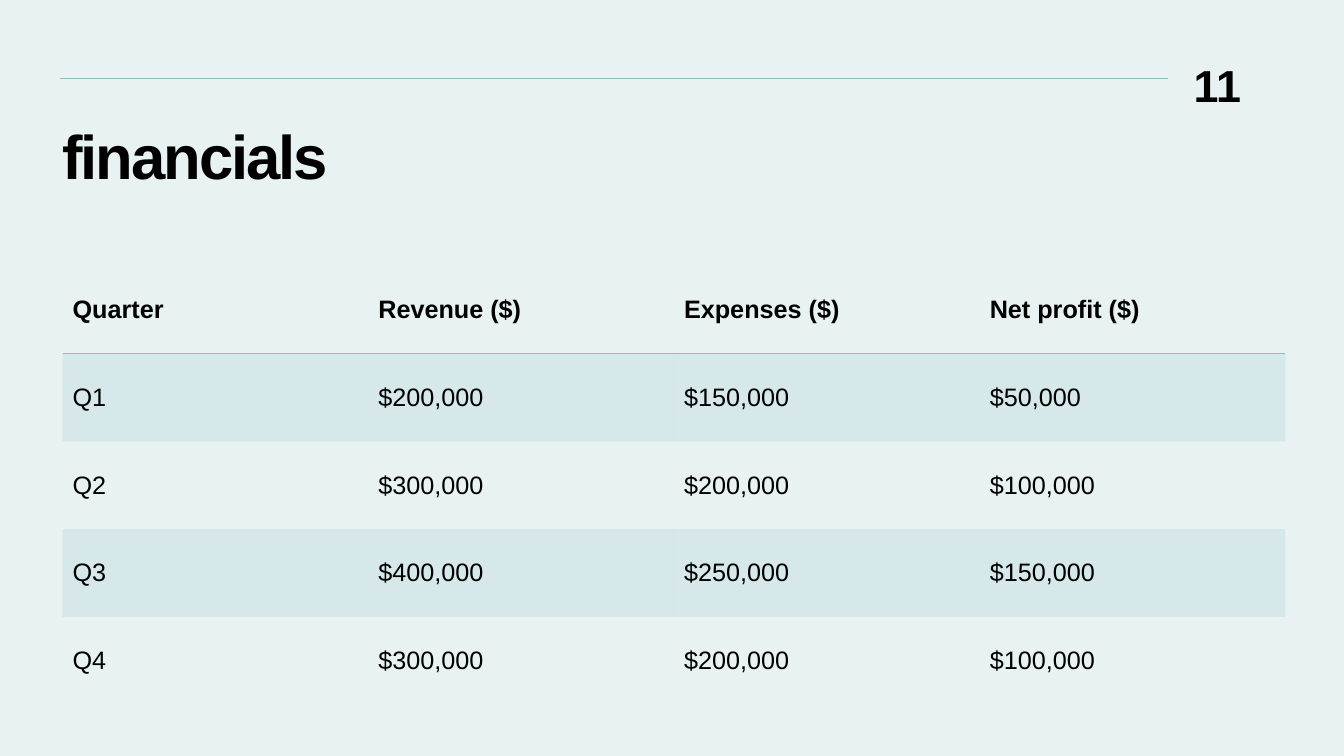
from dataclasses import dataclass

from lxml import etree
from pptx import Presentation
from pptx.dml.color import RGBColor
from pptx.enum.shapes import MSO_CONNECTOR
from pptx.enum.text import MSO_ANCHOR, PP_ALIGN
from pptx.oxml import parse_xml
from pptx.oxml.ns import qn
from pptx.slide import Slide
from pptx.util import Inches, Pt

STRAIGHT = MSO_CONNECTOR.STRAIGHT
TOP, MIDDLE = MSO_ANCHOR.TOP, MSO_ANCHOR.MIDDLE
LEFT, RIGHT = PP_ALIGN.LEFT, PP_ALIGN.RIGHT
DRAWING_NS = "http://schemas.openxmlformats.org/drawingml/2006/main"
PLAIN_TABLE_STYLE = "{2D5ABB26-0587-4C30-8999-92F81FD0307C}"


@dataclass(frozen=True)
class Theme:
    background: str = "E8F2F3"
    accent: str = "8EC0C1"
    ink: str = "000000"
    font: str = "Arial"
    title_size: float = 44
    number_size: float = 32
    table_size: float = 18
    rule_width: float = 0.75
    header_width: float = 1
    band_opacity: int = 20


@dataclass(frozen=True)
class Label:
    text: str
    left: float
    top: float
    width: float
    height: float
    size: float
    align: PP_ALIGN = LEFT
    margins: tuple[float, float, float, float] = (0, 0, 0, 0)
    line_spacing: float = 1.0
    tracking: float = 0


THEME = Theme()
LABELS = [
    Label("financials", 0.62, 1.2, 12.13, 1.32, THEME.title_size,
          margins=(0, 0.05, 0.1, 0.05), line_spacing=0.9, tracking=-1.5),
    Label("11", 11.31, 0.57, 1, 0.53, THEME.number_size, RIGHT),
]
FINANCIALS = [
    ("Quarter", "Revenue ($)", "Expenses ($)", "Net profit ($)"),
    ("Q1", "$200,000", "$150,000", "$50,000"),
    ("Q2", "$300,000", "$200,000", "$100,000"),
    ("Q3", "$400,000", "$250,000", "$150,000"),
    ("Q4", "$300,000", "$200,000", "$100,000"),
]


def set_attributes(target, values: dict) -> None:
    for name, value in values.items():
        setattr(target, name, value)


def write_text(para, text: str, size: float, bold: bool):
    span = para.add_run()
    span.text = text
    set_attributes(span.font, {"name": THEME.font, "size": Pt(size), "bold": bold})
    span.font.color.rgb = RGBColor.from_string(THEME.ink)
    return span


def add_rule(page: Slide) -> None:
    rule = page.shapes.add_connector(
        STRAIGHT, Inches(0.6), Inches(0.78), Inches(11.58), Inches(0.78))
    rule.line.color.rgb = RGBColor.from_string(THEME.accent)
    rule.line.width = Pt(THEME.rule_width)
    etree.SubElement(rule._element.spPr, qn("a:effectLst"))


def add_label(page: Slide, label: Label) -> None:
    box = page.shapes.add_textbox(Inches(label.left), Inches(label.top),
                                  Inches(label.width), Inches(label.height))
    left, top, right, bottom = map(Inches, label.margins)
    set_attributes(box.text_frame, {
        "word_wrap": True, "vertical_anchor": TOP,
        "margin_left": left, "margin_top": top,
        "margin_right": right, "margin_bottom": bottom,
    })
    para = box.text_frame.paragraphs[0]
    set_attributes(para, {"alignment": label.align, "line_spacing": label.line_spacing})
    span = write_text(para, label.text, label.size, True)
    if label.tracking:
        span.font._element.set("spc", str(round(label.tracking * 100)))


def fill_band(cell) -> None:
    cell.fill.solid()
    cell.fill.fore_color.rgb = RGBColor.from_string(THEME.accent)
    color = cell._tc.tcPr.find(".//" + qn("a:srgbClr"))
    etree.SubElement(color, qn("a:alpha"), val=str(THEME.band_opacity * 1000))


def underline_cell(cell) -> None:
    # Borders come before the fill in the cell properties
    cell._tc.get_or_add_tcPr().insert(0, parse_xml(
        f'<a:lnB xmlns:a="{DRAWING_NS}" w="{Pt(THEME.header_width)}">'
        f'<a:solidFill><a:srgbClr val="{THEME.accent}"/></a:solidFill></a:lnB>'))


def add_financials(page: Slide) -> None:
    frame = page.shapes.add_table(len(FINANCIALS), len(FINANCIALS[0]), Inches(0.62),
                                  Inches(2.64), Inches(12.13), Inches(4.35))
    table = frame.table
    table._tbl.tblPr.find(qn("a:tableStyleId")).text = PLAIN_TABLE_STYLE
    set_attributes(table, {"first_row": True, "horz_banding": False})
    for row, values in enumerate(FINANCIALS):
        for column, value in enumerate(values):
            cell = table.cell(row, column)
            cell.vertical_anchor = MIDDLE
            write_text(cell.text_frame.paragraphs[0], value, THEME.table_size, row == 0)
            if row % 2:
                fill_band(cell)
            else:
                cell.fill.background()
            if row == 0:
                underline_cell(cell)


def main() -> None:
    deck = Presentation()
    set_attributes(deck, {"slide_width": Inches(13.33), "slide_height": Inches(7.5)})
    page = deck.slides.add_slide(deck.slide_layouts[6])
    page.background.fill.solid()
    page.background.fill.fore_color.rgb = RGBColor.from_string(THEME.background)

    # Header: rule, title and page number
    add_rule(page)
    for label in LABELS:
        add_label(page, label)

    # Quarterly figures
    add_financials(page)
    deck.save("out.pptx")


if __name__ == "__main__":
    main()
